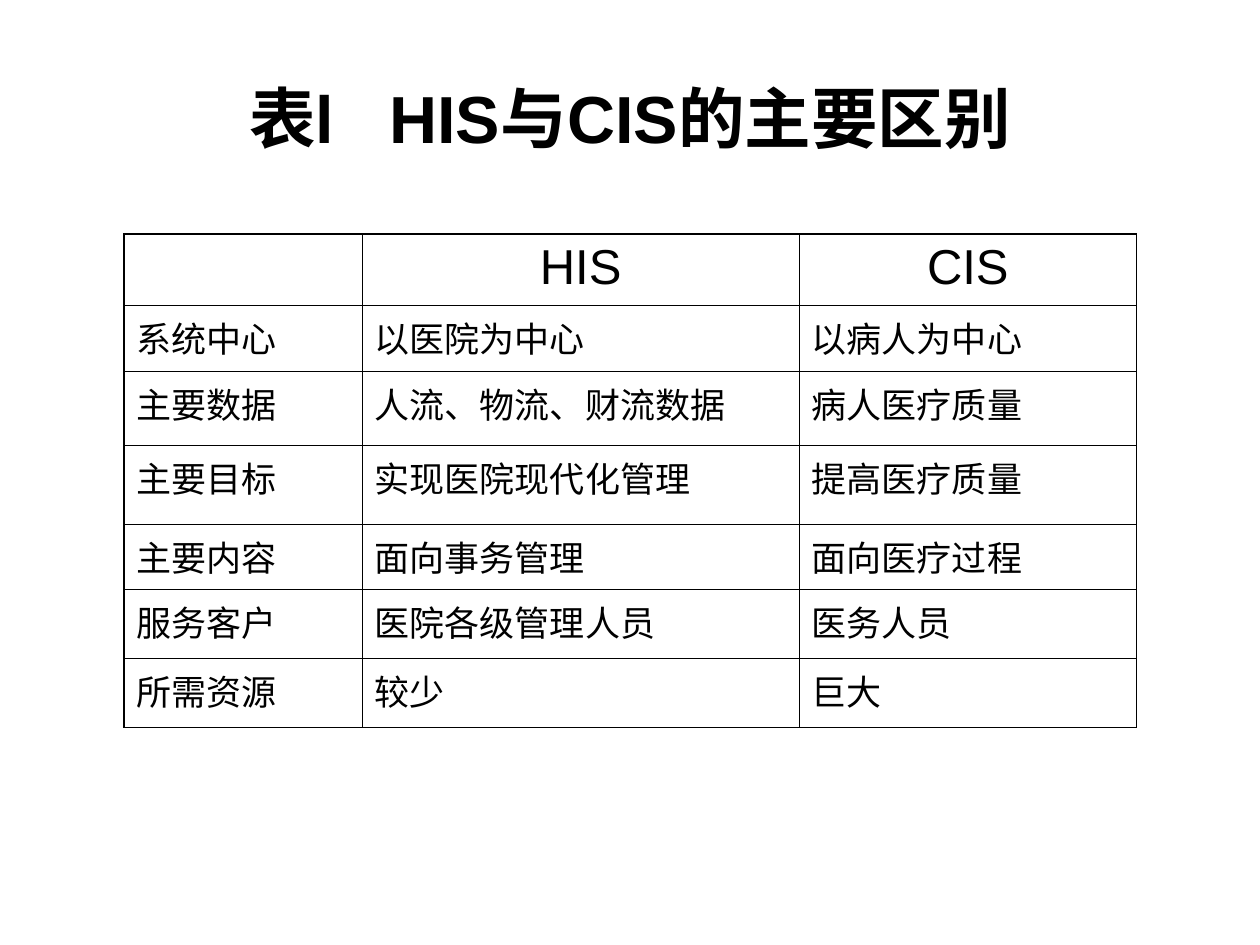
from dataclasses import dataclass

from lxml import etree
from pptx import Presentation
from pptx import util as u
from pptx.dml.color import RGBColor
from pptx.enum import text
from pptx.oxml import ns


@dataclass(frozen=True)
class Theme:
    font: str = "Arial"
    ink: str = "000000"
    title_size: int = 38
    header_size: int = 28
    body_size: int = 20
    outer_line: float = 1.08
    inner_line: float = 0.45


THEME = Theme()
COLUMN_WIDTHS = (4.8, 8.81, 6.8)
ROW_HEIGHTS = (1.44, 1.33, 1.49, 1.6, 1.3, 1.39, 1.4)
ROWS = (
    ("", "HIS", "CIS"),
    ("系统中心", "以医院为中心", "以病人为中心"),
    ("主要数据", "人流、物流、财流数据", "病人医疗质量"),
    ("主要目标", "实现医院现代化管理", "提高医疗质量"),
    ("主要内容", "面向事务管理", "面向医疗过程"),
    ("服务客户", "医院各级管理人员", "医务人员"),
    ("所需资源", "较少", "巨大"),
)


def set_all(target, values):
    for name, value in values.items():
        setattr(target, name, value)


def write(para, content, size, bold=False):
    span = para.add_run()
    span.text = content
    set_all(span.font, {"name": THEME.font, "size": u.Pt(size), "bold": bold})
    span.font.color.rgb = RGBColor.from_string(THEME.ink)


def add_title(page, content):
    title = page.shapes.title
    set_all(title, {"left": u.Cm(1.27), "top": u.Cm(0.76),
                    "width": u.Cm(22.86), "height": u.Cm(3.18)})
    set_all(title.text_frame, {"vertical_anchor": text.MSO_ANCHOR.MIDDLE,
                               "word_wrap": True})
    para = title.text_frame.paragraphs[0]
    para.alignment = text.PP_ALIGN.CENTER
    write(para, content, THEME.title_size, bold=True)


def set_borders(cell, outer_sides):
    properties = cell._tc.get_or_add_tcPr()
    for side in "LRTB":
        width = THEME.outer_line if side in outer_sides else THEME.inner_line
        line = etree.SubElement(properties, ns.qn(f"a:ln{side}"), w=str(u.Pt(width)))
        fill = etree.SubElement(line, ns.qn("a:solidFill"))
        etree.SubElement(fill, ns.qn("a:srgbClr"), val=THEME.ink)


def fill_cell(cell, content, is_header):
    cell.fill.background()
    if not content:
        return
    para = cell.text_frame.paragraphs[0]
    set_all(para, {
        "alignment": text.PP_ALIGN.CENTER if is_header else text.PP_ALIGN.LEFT,
        "space_before": u.Pt(7 if is_header else 5),
    })
    # Hanging indent
    indent = u.Cm(1)
    properties = para._p.get_or_add_pPr()
    properties.set("marL", str(indent))
    properties.set("indent", str(-indent))
    write(para, content, THEME.header_size if is_header else THEME.body_size)


def add_comparison(page, rows):
    table = page.shapes.add_table(
        len(rows), len(COLUMN_WIDTHS), u.Cm(2.5), u.Cm(4.72),
        u.Cm(sum(COLUMN_WIDTHS)), u.Cm(sum(ROW_HEIGHTS))).table
    set_all(table, {"first_row": False, "horz_banding": False})
    for column, width in zip(table.columns, COLUMN_WIDTHS):
        column.width = u.Cm(width)
    for row, height in zip(table.rows, ROW_HEIGHTS):
        row.height = u.Cm(height)

    last_row, last_column = len(rows) - 1, len(COLUMN_WIDTHS) - 1
    for r, row in enumerate(rows):
        for c, content in enumerate(row):
            edges = {"L": c == 0, "R": c == last_column,
                     "T": r == 0, "B": r == last_row}
            cell = table.cell(r, c)
            set_borders(cell, [side for side, outer in edges.items() if outer])
            fill_cell(cell, content, is_header=r == 0)


def main():
    deck = Presentation()
    set_all(deck, {"slide_width": u.Cm(25.4), "slide_height": u.Cm(19.05)})
    page = deck.slides.add_slide(deck.slide_layouts.get_by_name("Title Only"))
    # Heading
    add_title(page, "表l   HIS与CIS的主要区别")
    # Comparison table
    add_comparison(page, ROWS)
    deck.save("out.pptx")


if __name__ == "__main__":
    main()
